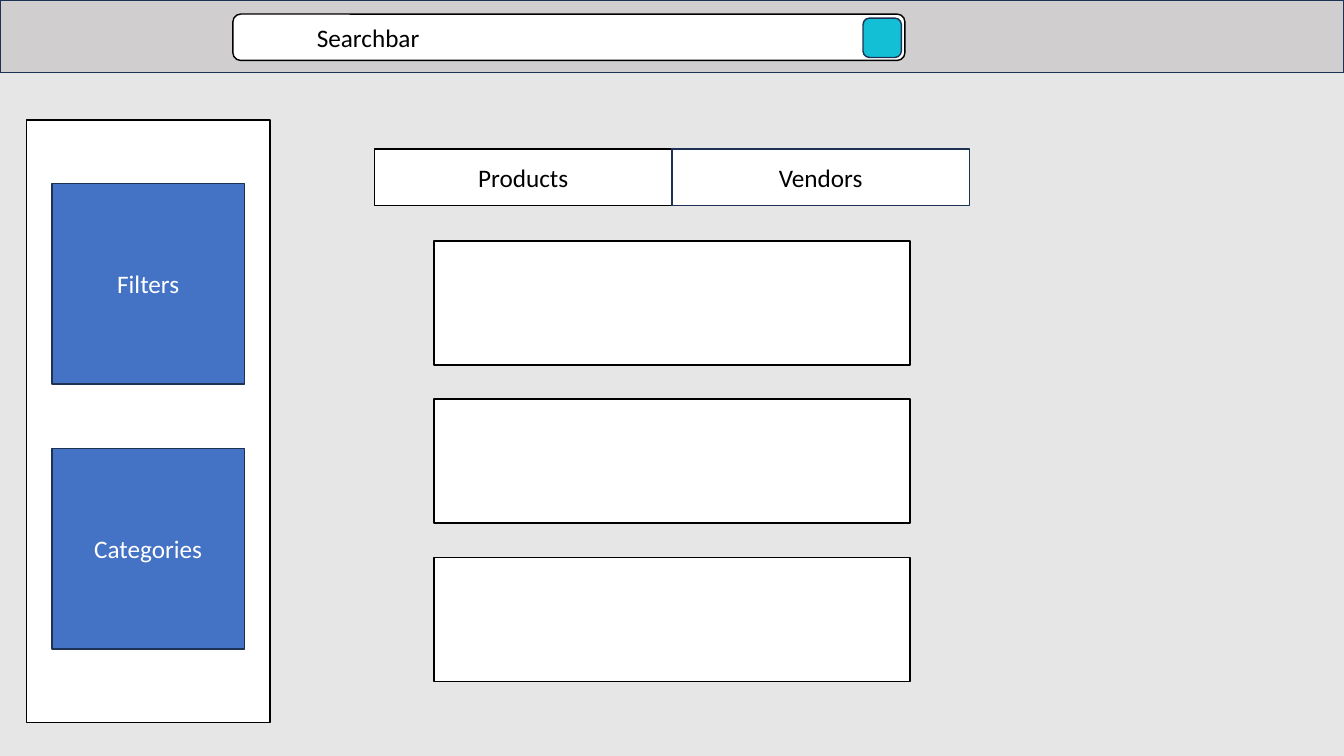
from pptx import Presentation
from pptx.dml.color import RGBColor
from pptx.enum.shapes import MSO_SHAPE as Preset
from pptx.enum.text import MSO_ANCHOR as Anchor, PP_ALIGN as Align
from pptx.util import Inches, Pt

COLORS = {
    "background": "E7E6E6",
    "header": "D0CECE",
    "panel": "FFFFFF",
    "block": "4472C4",
    "button": "12BFD5",
    "navy": "1E3256",
    "black": "000000",
    "white": "FFFFFF",
}
WIDTH, HEIGHT = 13.33, 7.5
CENTER = WIDTH / 2

presentation = Presentation()
presentation.slide_width = Inches(WIDTH)
presentation.slide_height = Inches(HEIGHT)
slide = presentation.slides.add_slide(presentation.slide_layouts[6])
slide.background.fill.solid()
slide.background.fill.fore_color.rgb = RGBColor.from_string(COLORS["background"])


def add_box(left, top, width, height, fill="panel", line="black",
            text="", text_color="black", preset=Preset.RECTANGLE):
    """Add a filled, outlined box, sized in inches, with an optional centred label."""
    shape = slide.shapes.add_shape(
        preset, Inches(left), Inches(top), Inches(width), Inches(height))
    shape.shadow.inherit = False
    shape.fill.solid()
    shape.fill.fore_color.rgb = RGBColor.from_string(COLORS[fill])
    shape.line.color.rgb = RGBColor.from_string(COLORS[line])
    shape.line.width = Pt(1)
    if text:
        shape.text_frame.text = text
        shape.text_frame.vertical_anchor = Anchor.MIDDLE
        paragraph = shape.text_frame.paragraphs[0]
        paragraph.alignment = Align.CENTER
        paragraph.font.name = "Calibri"
        paragraph.font.size = Pt(18)
        paragraph.font.color.rgb = RGBColor.from_string(COLORS[text_color])
    return shape


# Header band
add_box(0, 0, WIDTH, 0.72, fill="header", line="navy")

# Tabs meeting at the slide's centre
tab_width = 2.95
for column, (label, outline) in enumerate([("Products", "black"), ("Vendors", "navy")]):
    add_box(CENTER + (column - 1) * tab_width, 1.48, tab_width, 0.56,
            line=outline, text=label)

# Result cards
card_width, card_pitch = 4.72, 1.57
for row in range(3):
    add_box(CENTER - card_width / 2, 2.39 + row * card_pitch, card_width, 1.23)

# Sidebar with its blocks
sidebar_left, sidebar_width, block_width = 0.26, 2.42, 1.91
add_box(sidebar_left, 1.19, sidebar_width, 5.98)
block_left = sidebar_left + (sidebar_width - block_width) / 2
for row, label in enumerate(["Filters", "Categories"]):
    add_box(block_left, 1.82 + row * 2.63, block_width, 1.99,
            fill="block", line="navy", text=label, text_color="white")

# Search bar and button
search_bar = add_box(2.31, 0.14, WIDTH / 2, 0.46, text="Searchbar",
                     preset=Preset.ROUNDED_RECTANGLE)
search_bar.text_frame.margin_left = Inches(0.81)
search_bar.text_frame.paragraphs[0].alignment = Align.LEFT
add_box(8.56, 0.18, 0.38, 0.39, fill="button", line="navy",
        preset=Preset.ROUNDED_RECTANGLE)

presentation.save("out.pptx")
